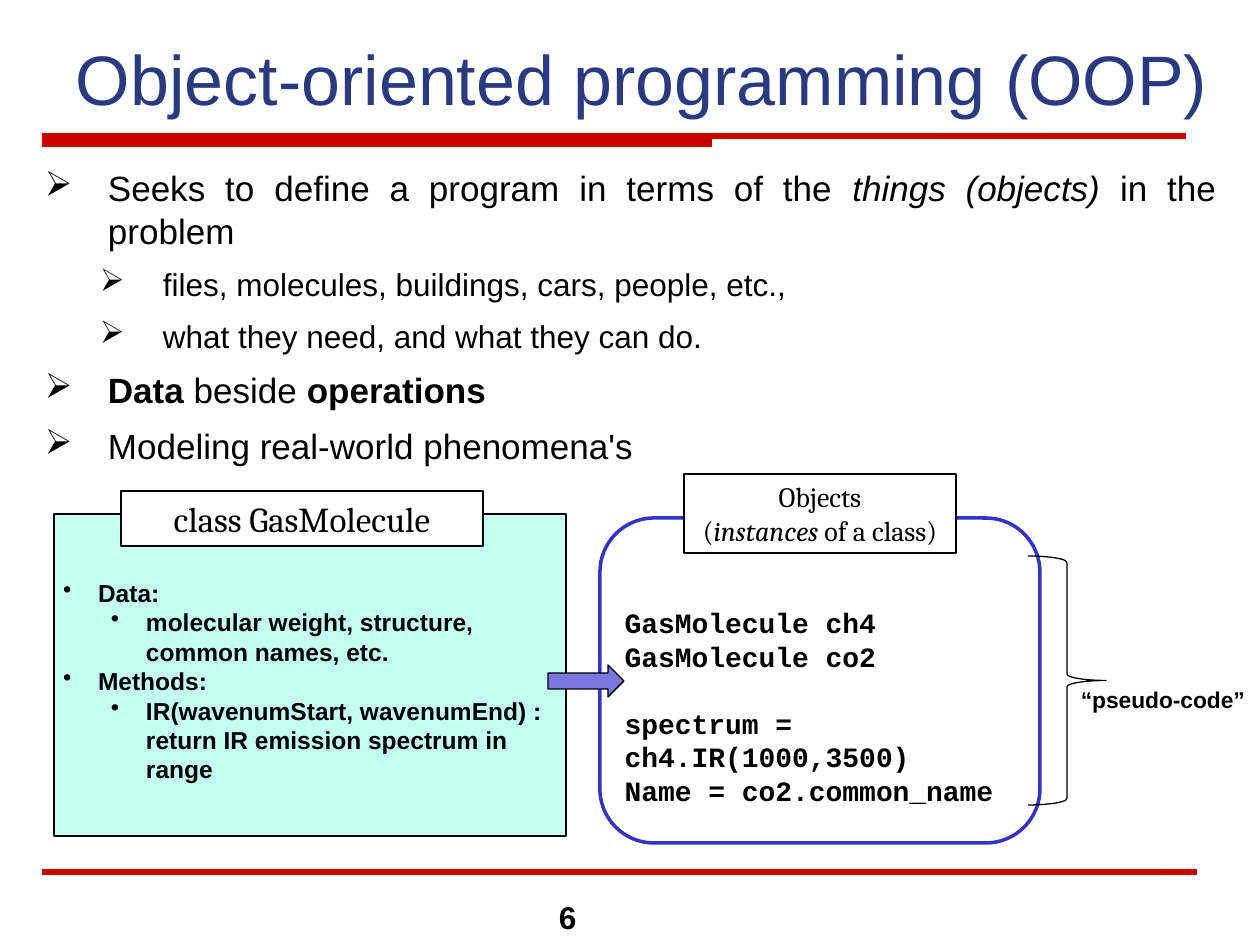
"""Build a slide that introduces object-oriented programming."""
import pptx
import pptx.dml.color
import pptx.enum.shapes
import pptx.enum.text
import pptx.oxml.ns
import pptx.util
from lxml import etree

RGBColor = pptx.dml.color.RGBColor
SHAPE = pptx.enum.shapes.MSO_SHAPE
ALIGN = pptx.enum.text.PP_ALIGN
ANCHOR = pptx.enum.text.MSO_ANCHOR

BLACK = RGBColor(0x00, 0x00, 0x00)
WHITE = RGBColor(0xFF, 0xFF, 0xFF)
RED = RGBColor(0xCC, 0x00, 0x00)
NAVY = RGBColor(0x29, 0x3A, 0x83)
MINT = RGBColor(0xC2, 0xFF, 0xF0)
BLUE = RGBColor(0x33, 0x33, 0xCC)
LILAC = RGBColor(0x78, 0x78, 0xDE)

PX = 914400 // 126
TEXT_INSETS = (13, 6, 13, 6)
SHAPE_INSETS = (9, 5, 9, 5)

TITLE = [(0, [("Object-oriented programming (OOP)", "")])]
POINTS = [
    (0, [("Seeks to define a program in terms of the ", ""),
         ("things (objects)", "i"), (" in the problem", "")]),
    (1, [("files, molecules, buildings, cars, people, etc.,", "")]),
    (1, [("what they need, and what they can do.", "")]),
    (0, [("Data ", "b"), ("beside ", ""), ("operations", "b")]),
    (0, [("Modeling real-world phenomena's", "")]),
]
CLASS_MEMBERS = [
    (0, [("Data:", "")]),
    (1, [("molecular weight, structure, common names, etc.", "")]),
    (0, [("Methods:", "")]),
    (1, [("IR(wavenumStart, wavenumEnd) : return IR emission spectrum in range", "")]),
]
CODE = [
    (0, [("GasMolecule ch4", "")]),
    (0, [("GasMolecule co2", "")]),
    (0, [("spectrum = ch4.IR(1000,3500)", "")]),
    (0, [("Name = co2.common_name", "")]),
]
CLASS_LABEL = [(0, [("class GasMolecule", "")])]
OBJECTS_LABEL = [
    (0, [("Objects", "")]),
    (0, [("(", ""), ("instances", "i"), (" of a class)", "")]),
]
CODE_LABEL = [(0, [("“pseudo-code”", "")])]
PAGE_NUMBER = [(0, [("6", "")])]

POINT_BULLETS = ("➢", [(63, -63), (118, -63)])
MEMBER_BULLETS = ("•", [(35, -35), (83, -35)])


def emu(*lengths):
    return [length * PX for length in lengths]


def add_bullet(paragraph, character, left, hanging):
    properties = paragraph._p.get_or_add_pPr()
    properties.set("marL", str(left * PX))
    properties.set("indent", str(hanging * PX))
    bullet = etree.SubElement(properties, pptx.oxml.ns.qn("a:buChar"))
    bullet.set("char", character)


def write(shape, content, size, font="Arial", color=BLACK, bold=False,
          align=ALIGN.LEFT, anchor=ANCHOR.TOP, insets=SHAPE_INSETS,
          bullets=None, before=0, after=0):
    frame = shape.text_frame
    frame.word_wrap = True
    frame.vertical_anchor = anchor
    (frame.margin_left, frame.margin_top,
     frame.margin_right, frame.margin_bottom) = emu(*insets)
    for index, (level, runs) in enumerate(content):
        paragraph = frame.add_paragraph() if index else frame.paragraphs[0]
        paragraph.level = level
        paragraph.alignment = align
        if bullets:
            character, indents = bullets
            add_bullet(paragraph, character, *indents[level])
        paragraph.space_before = pptx.util.Pt(before if index else 0)
        paragraph.space_after = pptx.util.Pt(after)
        paragraph.font.name = font
        paragraph.font.size = pptx.util.Pt(size - 2 * level if before else size)
        paragraph.font.color.rgb = color
        paragraph.font.bold = bold
        for text, style in runs:
            run = paragraph.add_run()
            run.text = text
            if style == "i":
                run.font.italic = True
            elif style == "b":
                run.font.bold = True


def add_text(slide, box, content, size, **options):
    shape = slide.shapes.add_textbox(*emu(*box))
    write(shape, content, size, insets=TEXT_INSETS, **options)


def add_shape(slide, kind, box, fill=None, line=BLACK, width=0.75):
    shape = slide.shapes.add_shape(kind, *emu(*box))
    shape.shadow.inherit = False
    if fill is None:
        shape.fill.background()
    else:
        shape.fill.solid()
        shape.fill.fore_color.rgb = fill
    if line is None:
        shape.line.fill.background()
    else:
        shape.line.color.rgb = line
        shape.line.width = pptx.util.Pt(width)
    return shape


def add_rule(slide, left, right, y):
    rule = slide.shapes.add_connector(
        pptx.enum.shapes.MSO_CONNECTOR.STRAIGHT, *emu(left, y, right, y))
    rule.line.color.rgb = RED
    rule.line.width = pptx.util.Pt(3)
    etree.SubElement(rule._element.spPr, pptx.oxml.ns.qn("a:effectLst"))


def main():
    presentation = pptx.Presentation()
    presentation.slide_width = pptx.util.Inches(10)
    presentation.slide_height = pptx.util.Inches(7.5)
    slide = presentation.slides.add_slide(presentation.slide_layouts[6])

    add_shape(slide, SHAPE.RECTANGLE, (42, 136, 670, 11), RED, None)
    add_rule(slide, 42, 1186, 136)
    add_rule(slide, 42, 1197, 872)

    add_text(slide, (63, 20, 1166, 105), TITLE, 40, color=NAVY, anchor=ANCHOR.BOTTOM)
    add_text(slide, (32, 161, 1197, 310), POINTS, 20, align=ALIGN.JUSTIFY,
             bullets=POINT_BULLETS, before=6, after=2)

    class_box = add_shape(slide, SHAPE.RECTANGLE, (54, 514, 512, 322), MINT)
    write(class_box, CLASS_MEMBERS, 14, bold=True, bullets=MEMBER_BULLETS,
          insets=(9, 64, 9, 5))
    class_label = add_shape(slide, SHAPE.RECTANGLE, (121, 491, 362, 55), WHITE)
    write(class_label, CLASS_LABEL, 20, font="Cambria", align=ALIGN.CENTER,
          anchor=ANCHOR.MIDDLE)

    objects_box = add_shape(slide, SHAPE.ROUNDED_RECTANGLE, (600, 518, 440, 325),
                            WHITE, BLUE, 2)
    write(objects_box, CODE, 16, font="Courier New", bold=True, insets=(9, 72, 9, 5))
    objects_box.text_frame.paragraphs[2].space_before = pptx.util.Pt(19)
    objects_label = add_shape(slide, SHAPE.RECTANGLE, (684, 474, 272, 79), WHITE)
    write(objects_label, OBJECTS_LABEL, 16, font="Cambria", align=ALIGN.CENTER,
          anchor=ANCHOR.MIDDLE)

    add_shape(slide, SHAPE.RIGHT_ARROW, (548, 665, 76, 32), LILAC)
    add_shape(slide, SHAPE.RIGHT_BRACE, (1028, 556, 78, 249))
    add_text(slide, (1068, 680, 192, 40), CODE_LABEL, 13, bold=True)
    add_text(slide, (546, 892, 83, 50), PAGE_NUMBER, 18, bold=True)

    presentation.save("out.pptx")


if __name__ == "__main__":
    main()
